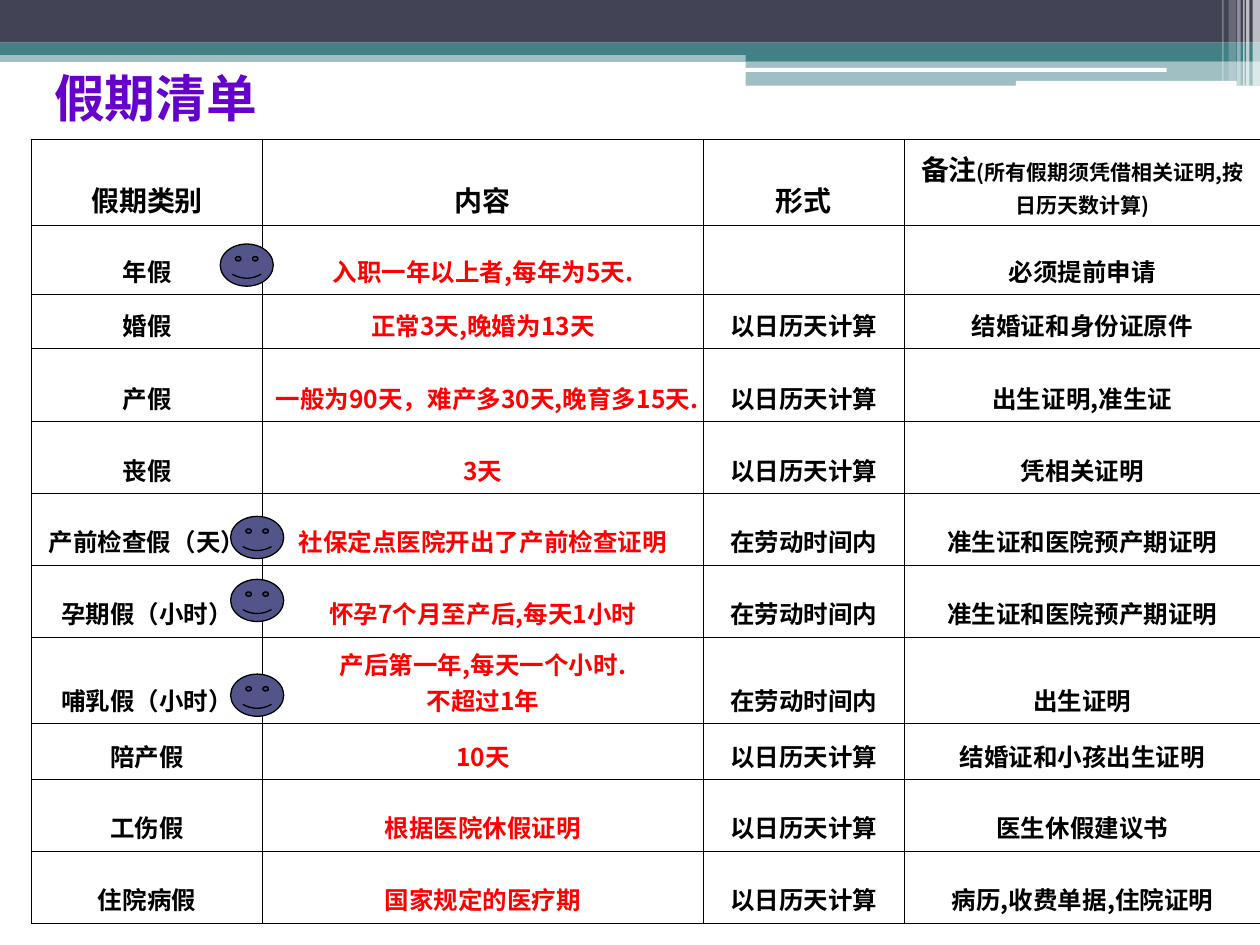
from dataclasses import dataclass

from lxml import etree
from pptx import Presentation
from pptx.dml.color import RGBColor
from pptx.enum.shapes import MSO_SHAPE
from pptx.enum.text import MSO_ANCHOR, PP_ALIGN
from pptx.oxml.ns import qn
from pptx.util import Cm, Pt

RECTANGLE = MSO_SHAPE.RECTANGLE
ROUNDED = MSO_SHAPE.ROUNDED_RECTANGLE
SMILEY = MSO_SHAPE.SMILEY_FACE
CENTER = PP_ALIGN.CENTER
BOTTOM = MSO_ANCHOR.BOTTOM
MIDDLE = MSO_ANCHOR.MIDDLE


@dataclass(frozen=True)
class Theme:
    navy: str = "424456"
    teal: str = "438086"
    white: str = "FFFFFF"
    black: str = "000000"
    red: str = "FF0000"
    purple: str = "6600CC"
    face: str = "53548A"
    title_font: str = "Karla"
    table_font: str = "Noto Sans CJK SC"
    title_size: int = 29
    header_size: int = 16
    body_size: int = 14
    note_size: int = 12
    grid_width: float = 0.45
    face_line: float = 0.75


THEME = Theme()

BANDS = [
    (RECTANGLE, 0, 1.02, 25.4, 0.23, THEME.teal, 50),
    (RECTANGLE, 0, 0, 25.4, 0.86, THEME.navy, 100),
    (RECTANGLE, 0, 0.86, 25.4, 0.25, THEME.teal, 100),
    (RECTANGLE, 15.03, 0.99, 10.37, 0.24, THEME.teal, 100),
    (RECTANGLE, 15.03, 1.23, 10.37, 0.5, THEME.teal, 50),
    (ROUNDED, 15.02, 1.37, 8.5, 0.08, THEME.white, 100),
    (ROUNDED, 20.48, 1.63, 4.45, 0.1, THEME.white, 100),
]
STRIPES = [
    (25.25, 0.15, 1.73, 65),
    (25.12, 0.07, 1.73, 65),
    (25.06, 0.03, 1.73, 60),
    (24.94, 0.07, 1.73, 40),
    (24.77, 0.15, 1.63, 20),
    (24.64, 0.03, 1.63, 30),
]

CALENDAR = "以日历天计算"
WORKTIME = "在劳动时间内"
BIRTH_PROOF = "准生证和医院预产期证明"
HEADERS = ["假期类别", "内容", "形式", "备注"]
HEADER_NOTE = "(所有假期须凭借相关证明,按日历天数计算)"
LEAVES = [
    ("年假", "入职一年以上者,每年为5天.", "", "必须提前申请"),
    ("婚假", "正常3天,晚婚为13天", CALENDAR, "结婚证和身份证原件"),
    ("产假", "一般为90天，难产多30天,晚育多15天.", CALENDAR, "出生证明,准生证"),
    ("丧假", "3天", CALENDAR, "凭相关证明"),
    ("产前检查假（天）", "社保定点医院开出了产前检查证明", WORKTIME, BIRTH_PROOF),
    ("孕期假（小时）", "怀孕7个月至产后,每天1小时", WORKTIME, BIRTH_PROOF),
    ("哺乳假（小时）", "产后第一年,每天一个小时.\v不超过1年", WORKTIME, "出生证明"),
    ("陪产假", "10天", CALENDAR, "结婚证和小孩出生证明"),
    ("工伤假", "根据医院休假证明", CALENDAR, "医生休假建议书"),
    ("住院病假", "国家规定的医疗期", CALENDAR, "病历,收费单据,住院证明"),
]
COLUMN_WIDTHS = [4.65, 8.89, 4.05, 7.18]
ROW_HEIGHTS = [1.75, 1.39, 1.09, 1.47, 1.45, 1.44, 1.45, 1.75, 1.13, 1.44, 1.45]
FACES = [(4.44, 4.92), (4.65, 10.41), (4.65, 11.68), (4.65, 13.59)]


def color(value):
    return RGBColor.from_string(value)


def add_block(slide, kind, left, top, width, height, fill, opacity=100):
    shape = slide.shapes.add_shape(kind, Cm(left), Cm(top), Cm(width), Cm(height))
    shape.shadow.inherit = False
    shape.fill.solid()
    shape.fill.fore_color.rgb = color(fill)
    shape.line.fill.background()
    if opacity < 100:
        tint = shape.fill._xPr.find(qn("a:solidFill"))[0]
        etree.SubElement(tint, qn("a:alpha"), val=str(opacity * 1000))
    return shape


def add_face(slide, left, top):
    face = add_block(slide, SMILEY, left, top, 1.07, 0.85, THEME.face)
    face.adjustments[0] = 0.093
    face.line.color.rgb = color(THEME.black)
    face.line.width = Pt(THEME.face_line)


def style_run(run, size, ink, font):
    run.font.size = Pt(size)
    run.font.bold = True
    run.font.name = font
    run.font.color.rgb = color(ink)
    east_asian = etree.Element(qn("a:ea"), typeface=THEME.table_font)
    run.font._rPr.find(qn("a:latin")).addnext(east_asian)


def add_title(slide, text):
    box = slide.shapes.add_textbox(Cm(0.84), Cm(1.32), Cm(22.86), Cm(1.27))
    frame = box.text_frame
    frame.word_wrap = True
    frame.vertical_anchor = MIDDLE
    frame.text = text
    style_run(frame.paragraphs[0].runs[0], THEME.title_size, THEME.purple, THEME.title_font)


def set_borders(cell):
    properties = cell._tc.get_or_add_tcPr()
    for index, side in enumerate(("a:lnL", "a:lnR", "a:lnT", "a:lnB")):
        line = etree.Element(qn(side), w=str(Pt(THEME.grid_width)))
        fill = etree.SubElement(line, qn("a:solidFill"))
        etree.SubElement(fill, qn("a:srgbClr"), val=THEME.black)
        properties.insert(index, line)


def fill_cell(cell, text, size, ink):
    cell.fill.background()
    cell.vertical_anchor = BOTTOM
    set_borders(cell)
    cell.text_frame.text = text
    paragraph = cell.text_frame.paragraphs[0]
    paragraph.alignment = CENTER
    for run in paragraph.runs:
        style_run(run, size, ink, THEME.table_font)
    for line_break in paragraph._p.findall(qn("a:br")):
        etree.SubElement(line_break, qn("a:rPr"), sz=str(size * 100))


def add_leave_table(slide):
    frame = slide.shapes.add_table(
        len(LEAVES) + 1, len(HEADERS), Cm(0.64), Cm(2.8),
        Cm(sum(COLUMN_WIDTHS)), Cm(sum(ROW_HEIGHTS)))
    table = frame.table
    table.first_row = False
    table.horz_banding = False
    for column, width in zip(table.columns, COLUMN_WIDTHS):
        column.width = Cm(width)
    for row, height in zip(table.rows, ROW_HEIGHTS):
        row.height = Cm(height)
    for row, texts in enumerate([HEADERS, *LEAVES]):
        size = THEME.body_size if row else THEME.header_size
        for column, text in enumerate(texts):
            ink = THEME.red if row and column == 1 else THEME.black
            fill_cell(table.cell(row, column), text, size, ink)
    note = table.cell(0, 3).text_frame.paragraphs[0].add_run()
    note.text = HEADER_NOTE
    style_run(note, THEME.note_size, THEME.black, THEME.table_font)


def main():
    presentation = Presentation()
    presentation.slide_width = Cm(25.4)
    presentation.slide_height = Cm(19.05)
    slide = presentation.slides.add_slide(presentation.slide_layouts[6])
    for band in BANDS:
        add_block(slide, *band)
    for left, width, height, opacity in STRIPES:
        add_block(slide, RECTANGLE, left, 0, width, height, THEME.white, opacity)
    add_title(slide, "假期清单")
    add_leave_table(slide)
    for left, top in FACES:
        add_face(slide, left, top)
    presentation.save("out.pptx")


if __name__ == "__main__":
    main()
